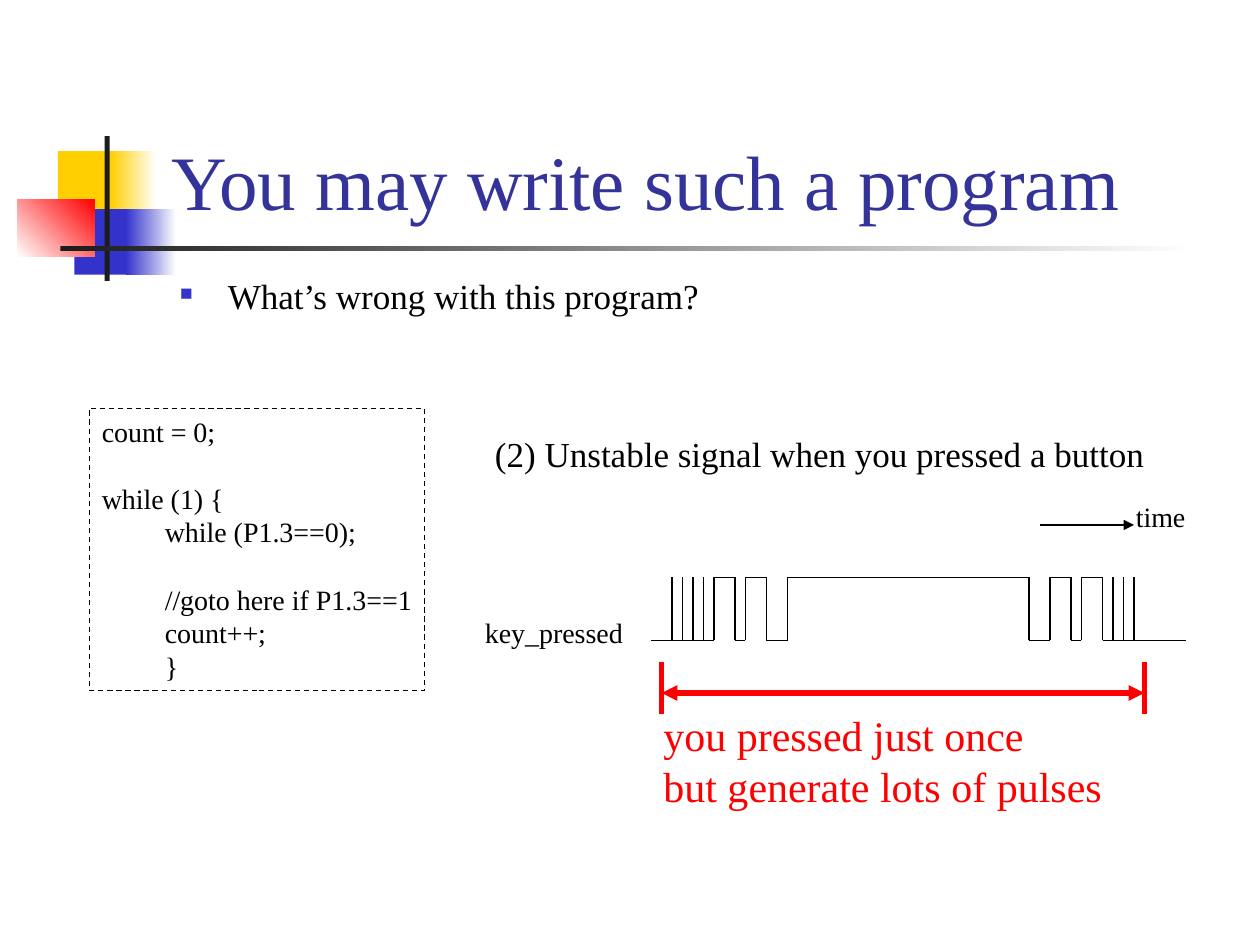
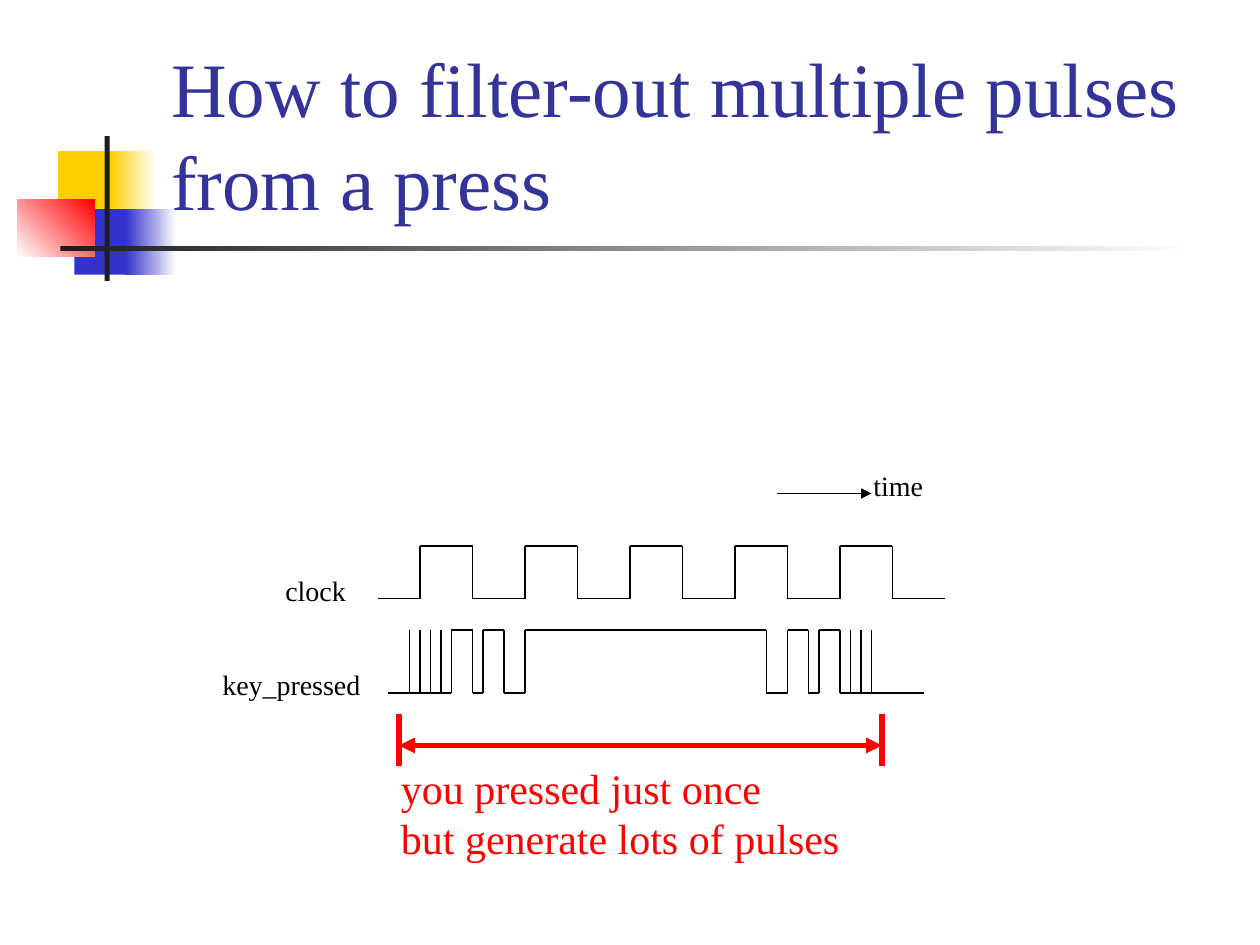
from itertools import pairwise

from lxml import etree
from pptx import Presentation
from pptx import util as u
from pptx.dml.color import RGBColor
from pptx.enum import dml, shapes, text
from pptx.oxml.ns import qn

COLOURS = {
    "yellow": "FFCF01", "blue": "3333CC", "red": "FF0000", "dark": "1C1C1C",
    "white": "FFFFFF", "black": "000000", "title": "333399",
}
FONT = "Times New Roman"
GRID = 12  # diagram units per inch

# left, top, width, height, first colour, second colour, gradient angle
ORNAMENTS = [
    (0.46, 1.2, 0.48, 0.52, "yellow", None, 0),
    (0.88, 1.2, 0.36, 0.52, "yellow", "white", 0),
    (0.59, 1.66, 0.46, 0.52, "blue", None, 0),
    (1, 1.66, 0.4, 0.52, "blue", "white", 0),
    (0.14, 1.58, 0.61, 0.46, "white", "red", 45),
    (0.83, 1.08, 0.04, 1.15, "dark", None, 0),
    (0.48, 1.95, 9, 0.04, "dark", "white", 0),
]

# Grid positions relative to the start of each signal
KEY_EDGES = [6, 8, 9, 11, 13, 36, 38, 40, 41, 43]
KEY_SPIKES = [2, 3, 4, 5, 44, 45, 46]
KEY_LENGTH = 51
CLOCK_EDGES = list(range(4, 50, 5))
CLOCK_LENGTH = 54

# text, left indent in inches, space before in points
CODE = [
    ("count = 0;", 0, 0),
    ("while (1) {", 0, 19.1),
    ("while (P1.3==0);", 0.5, 0),
    ("//goto here if P1.3==1", 0.5, 19.1),
    ("count++;", 0.5, 0),
    ("}", 0.5, 0),
]


def colour(name):
    return RGBColor.from_string(COLOURS[name])


def set_values(target, **values):
    for name, value in values.items():
        setattr(target, name, value)


def write(box, lines, size, ink="black", wrap=True, spacing=1.0):
    frame = box.text_frame
    set_values(frame, word_wrap=wrap, vertical_anchor=text.MSO_ANCHOR.TOP)
    for number, line in enumerate(lines):
        para = frame.add_paragraph() if number else frame.paragraphs[0]
        span = para.add_run()
        span.text = line
        set_values(para, alignment=text.PP_ALIGN.LEFT, line_spacing=spacing)
        set_values(span.font, name=FONT, size=u.Pt(size))
        span.font.color.rgb = colour(ink)
    return frame


def add_text(parent, place, lines, size, **style):
    box = parent.add_textbox(*map(u.Inches, place))
    return write(box, lines, size, **style)


def add_rectangle(page, place):
    box = page.shapes.add_shape(shapes.MSO_SHAPE.RECTANGLE, *map(u.Inches, place))
    box.shadow.inherit = False
    return box


def add_ornament(page, left, top, width, height, first, second, angle):
    box = add_rectangle(page, (left, top, width, height))
    box.line.fill.background()
    if second is None:
        box.fill.solid()
        box.fill.fore_color.rgb = colour(first)
        return
    box.fill.gradient()
    box.fill.gradient_angle = angle
    for stop, name in zip(box.fill.gradient_stops, (first, second)):
        stop.color.rgb = colour(name)


def add_page(deck, title):
    page = deck.slides.add_slide(deck.slide_layouts[6])
    for ornament in ORNAMENTS:
        add_ornament(page, *ornament)
    frame = add_text(page.shapes, (1.26, 0.24, 8.52, 1.6), [title], 44, ink="title")
    frame.vertical_anchor = text.MSO_ANCHOR.BOTTOM
    return page


def add_bullet(para, indent):
    properties = para._p.get_or_add_pPr()
    properties.set("marL", str(u.Inches(indent)))
    properties.set("indent", str(-u.Inches(indent)))
    tint = etree.SubElement(properties, qn("a:buClr"))
    etree.SubElement(tint, qn("a:srgbClr"), val=COLOURS["blue"])
    etree.SubElement(properties, qn("a:buSzPct"), val="50000")
    etree.SubElement(properties, qn("a:buChar"), char="■")


def add_code(page):
    box = add_rectangle(page, (0.71, 3.24, 2.66, 2.24))
    box.fill.background()
    set_values(box.line, width=u.Pt(0.75), dash_style=dml.MSO_LINE.DASH)
    box.line.color.rgb = colour("black")
    frame = write(box, [line for line, _, _ in CODE], 16, wrap=False)
    for para, (_, indent, gap) in zip(frame.paragraphs, CODE):
        para.space_before = u.Pt(gap)
        para._p.get_or_add_pPr().set("marL", str(u.Inches(indent)))


def add_line(group, start, end, ink="black", width=0.75, arrows=()):
    """Join two grid points; arrows holds "headEnd" and/or "tailEnd"."""
    points = [u.Inches(value / GRID) for value in (*start, *end)]
    line = group.add_connector(shapes.MSO_CONNECTOR.STRAIGHT, *points)
    line.line.color.rgb = colour(ink)
    line.line.width = u.Pt(width)
    for arrow in arrows:
        etree.SubElement(line.line._get_or_add_ln(), qn(f"a:{arrow}"), type="triangle")
    etree.SubElement(line._element.spPr, qn("a:effectLst"))


def add_label(group, x, y, width, lines, size=16, ink="black", height=0.37):
    add_text(group, (x / GRID, y / GRID, width, height), lines, size, ink=ink)


def add_wave(group, x, base, height, edges, length):
    """Draw a signal that starts low and changes level at each edge."""
    levels = (base, base - height)
    for number, (start, end) in enumerate(pairwise([0, *edges, length])):
        level = levels[number % 2]
        add_line(group, (x + start, level), (x + end, level))
    for edge in edges:
        add_line(group, (x + edge, base), (x + edge, base - height))


def add_time_arrow(group, x, y):
    add_line(group, (x, y), (x + 9, y), arrows=["tailEnd"])
    add_label(group, x + 8, y - 3, 0.7, ["time"])


def add_key_signal(group, x, base):
    add_wave(group, x, base, 6, KEY_EDGES, KEY_LENGTH)
    for spike in KEY_SPIKES:
        add_line(group, (x + spike, base), (x + spike, base - 6))
    add_label(group, x - 17, base - 3, 1.4, ["key_pressed"])

    left, right = x + 1, x + 47
    for side in (left, right):
        add_line(group, (side, base + 2), (side, base + 7), "red", 3)
    add_line(group, (left, base + 5), (right, base + 5), "red", 3,
             ["headEnd", "tailEnd"])
    add_label(group, x, base + 6, 3.8,
              ["you pressed just once", "but generate lots of pulses"],
              24, "red", 0.9)


def add_clock_signal(group, x, base):
    add_wave(group, x, base, 5, CLOCK_EDGES, CLOCK_LENGTH)
    add_label(group, x - 10, base - 3, 0.8, ["clock"])


def build_program_page(deck):
    page = add_page(deck, "You may write such a program")
    frame = add_text(page.shapes, (1.33, 2.17, 8.12, 0.63),
                     ["What’s wrong with this program?"], 20, spacing=0.9)
    add_bullet(frame.paragraphs[0], 0.38)
    add_text(page.shapes, (3.83, 3.42, 5.92, 0.58),
             ["(2) Unstable signal when you pressed a button"], 20, spacing=0.9)
    group = page.shapes.add_group_shape().shapes
    add_time_arrow(group, 99, 50)
    add_key_signal(group, 62, 61)
    add_code(page)


def build_filter_page(deck):
    page = add_page(deck, "How to filter-out multiple pulses from a press")
    group = page.shapes.add_group_shape().shapes
    add_time_arrow(group, 74, 47)
    add_key_signal(group, 37, 66)
    add_clock_signal(group, 36, 57)


def main():
    deck = Presentation()
    set_values(deck, slide_width=u.Inches(10), slide_height=u.Inches(7.5))
    build_program_page(deck)
    build_filter_page(deck)
    deck.save("out.pptx")


if __name__ == "__main__":
    main()
